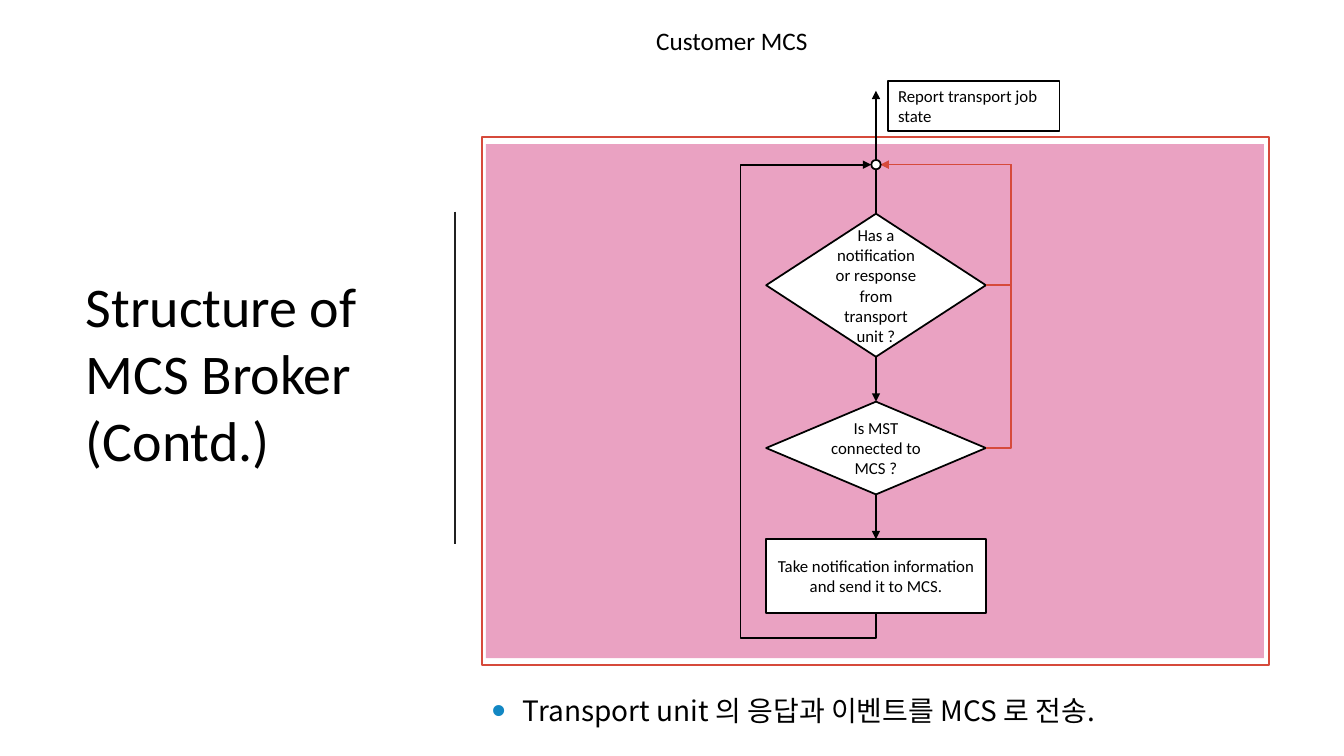
from dataclasses import dataclass

from lxml import etree
from pptx import Presentation
from pptx import util as u
from pptx.dml.color import RGBColor
from pptx.enum import shapes, text
from pptx.oxml import ns


@dataclass(frozen=True)
class Theme:
    ink: str = "000000"
    paper: str = "FFFFFF"
    divider: str = "212121"
    accent: str = "D64A3B"
    panel: str = "D64787"
    bullet: str = "1287C3"
    font: str = "Calibri"
    korean_font: str = "Noto Sans CJK KR"
    title: int = 40
    body: int = 20
    label: int = 18
    step: int = 12
    thin: float = 1.25
    rule: float = 1.5
    thick: float = 1.75


THEME = Theme()
WIDTH, HEIGHT = u.Inches(13.333), u.Inches(7.5)

# The grid has 100 columns and 100 rows.
AXIS = 65.18
STEP_WIDTH = 16.35
STEP_TOP = 28.27
STEP_GAP = 5.93
JUNCTION_ROW = 21.78
JUNCTION_WIDTH, JUNCTION_HEIGHT = 0.7, 1.24
NO_LANE, LOOP_LANE, LOOP_ROW = 75.22, 55.13, 84.4
CONTENT_LEFT = 35.85

DECISION = shapes.MSO_SHAPE.FLOWCHART_DECISION
PROCESS = shapes.MSO_SHAPE.FLOWCHART_PROCESS
STEPS = [
    (DECISION, 18.93, "Has a notification or response from transport unit ?"),
    (DECISION, 12.27, "Is MST connected to MCS ?"),
    (PROCESS, 9.73, "Take notification information and send it to MCS."),
]


def col(n):
    return u.Emu(round(WIDTH * n / 100))


def row(n):
    return u.Emu(round(HEIGHT * n / 100))


def area(left, top, width, height):
    return col(left), row(top), col(width), row(height)


def sub(parent, tag, **attrs):
    return etree.SubElement(parent, ns.qn(tag), attrs)


def write(sp, words, size, font=THEME.font, align=text.PP_ALIGN.LEFT,
          anchor=text.MSO_ANCHOR.TOP, wrap=True):
    tf = sp.text_frame
    tf.word_wrap = wrap
    tf.auto_size = text.MSO_AUTO_SIZE.NONE
    tf.vertical_anchor = anchor
    p = tf.paragraphs[0]
    p.text = words
    p.alignment = align
    for r in p.runs:
        r.font.size = u.Pt(size)
        r.font.name = font
        r.font.color.rgb = RGBColor.from_string(THEME.ink)
        sub(r.font._element, "a:ea", typeface=font)
    return p


def add_box(slide, kind, box, fill=THEME.paper, line=THEME.ink, alpha=None):
    sp = slide.shapes.add_shape(kind, *box)
    sp.shadow.inherit = False
    sp.fill.solid()
    sp.fill.fore_color.rgb = RGBColor.from_string(fill)
    if alpha:
        color = sp.fill._xPr.find(".//" + ns.qn("a:srgbClr"))
        sub(color, "a:alpha", val=str(alpha * 1000))
    if line:
        sp.line.color.rgb = RGBColor.from_string(line)
        sp.line.width = u.Pt(THEME.thin)
    else:
        sp.line.fill.background()
    return sp


def add_line(slide, start, end, color=THEME.ink, width=THEME.thin, arrow=True,
             kind=shapes.MSO_CONNECTOR.STRAIGHT):
    line = slide.shapes.add_connector(kind, *start, *end)
    line.line.color.rgb = RGBColor.from_string(color)
    line.line.width = u.Pt(width)
    if arrow:
        sub(line.line._get_or_add_ln(), "a:tailEnd", type="triangle")
    sub(line._element.spPr, "a:effectLst")
    return line


def set_bends(line, preset, *shares):
    """Place the bends of an elbow as shares of its length and breadth."""
    geometry = line._element.spPr.find(ns.qn("a:prstGeom"))
    geometry.set("prst", preset)
    for old in list(geometry):
        geometry.remove(old)
    guides = sub(geometry, "a:avLst")
    for i, share in enumerate(shares, 1):
        sub(guides, "a:gd", name=f"adj{i}", fmla=f"val {round(share * 100000)}")


def add_no_branch(slide, step):
    """Lead from the right corner of a decision back to the junction."""
    start = step.left + step.width, step.top + step.height // 2
    end = col(AXIS + JUNCTION_WIDTH / 2), row(JUNCTION_ROW)
    line = add_line(slide, start, end, THEME.accent,
                    kind=shapes.MSO_CONNECTOR.ELBOW)
    set_bends(line, "bentConnector3",
              (start[0] - col(NO_LANE)) / (start[0] - end[0]))


def add_loop(slide, step):
    """Lead from below the last step round the left side to the junction."""
    x, y = col(AXIS), step.top + step.height
    end_x, end_y = col(AXIS - JUNCTION_WIDTH / 2), row(JUNCTION_ROW)
    length, breadth = y - end_y, x - end_x
    left = (x + end_x - length) // 2
    top = (y + end_y - breadth) // 2
    line = add_line(slide, (left + length, top), (left, top + breadth),
                    kind=shapes.MSO_CONNECTOR.ELBOW)
    line._element.spPr.find(ns.qn("a:xfrm")).set("rot", str(90 * 60000))
    set_bends(line, "bentConnector4",
              (y - row(LOOP_ROW)) / length, (x - col(LOOP_LANE)) / breadth)


def add_bullet_text(slide, words, box):
    p = write(slide.shapes.add_textbox(*box), words, THEME.body,
              font=THEME.korean_font, anchor=text.MSO_ANCHOR.MIDDLE)
    p.space_after = u.Pt(6)
    pr = p._p.get_or_add_pPr()
    indent = u.Inches(0.31)
    pr.set("marL", str(indent))
    pr.set("indent", str(-indent))
    sub(sub(pr, "a:buClr"), "a:srgbClr", val=THEME.bullet)
    sub(pr, "a:buSzPct", val="145000")
    sub(pr, "a:buFont", typeface="Arial")
    sub(pr, "a:buChar", char="•")


def add_flow(slide):
    steps, top = [], STEP_TOP
    for kind, height, words in STEPS:
        box = area(AXIS - STEP_WIDTH / 2, top, STEP_WIDTH, height)
        sp = add_box(slide, kind, box)
        write(sp, words, THEME.step, align=text.PP_ALIGN.CENTER,
              anchor=text.MSO_ANCHOR.MIDDLE)
        steps.append(sp)
        top += height + STEP_GAP

    x = col(AXIS)
    report = add_line(slide, (x, steps[0].top), (x, row(12)))
    report.begin_connect(steps[0], 0)
    for upper, lower in zip(steps, steps[1:]):
        line = add_line(slide, (x, upper.top + upper.height), (x, lower.top),
                        width=THEME.thick)
        line.begin_connect(upper, 2)
        line.end_connect(lower, 0)
        add_no_branch(slide, upper)
    add_loop(slide, steps[-1])
    add_box(slide, shapes.MSO_SHAPE.FLOWCHART_CONNECTOR,
            area(AXIS - JUNCTION_WIDTH / 2, JUNCTION_ROW - JUNCTION_HEIGHT / 2,
                 JUNCTION_WIDTH, JUNCTION_HEIGHT))


def main():
    prs = Presentation()
    prs.slide_width, prs.slide_height = WIDTH, HEIGHT
    slide = prs.slides.add_slide(prs.slide_layouts[5])

    title = slide.shapes.title
    title.left, title.top, title.width, title.height = area(5.63, 11.2, 26.03, 76)
    write(title, "Structure of MCS Broker\v(Contd.)", THEME.title,
          anchor=text.MSO_ANCHOR.MIDDLE)
    add_line(slide, (col(33.83), row(28)), (col(33.83), row(72)),
             THEME.divider, THEME.rule, arrow=False)
    add_bullet_text(slide, "Transport unit 의 응답과 이벤트를 MCS 로 전송.",
                    area(CONTENT_LEFT, 88.8, 58.13, 10.27))

    rect = shapes.MSO_SHAPE.RECTANGLE
    add_box(slide, rect, area(CONTENT_LEFT, 18.13, 58.58, 69.87),
            line=THEME.accent)
    add_box(slide, rect, area(36.15, 19.07, 57.9, 68), THEME.panel,
            line=None, alpha=50)
    customer = slide.shapes.add_textbox(*area(48.08, 2.67, 13.28, 5.33))
    write(customer, "Customer MCS", THEME.label, wrap=False)
    report = add_box(slide, rect, area(66.08, 10.67, 12.75, 6.67))
    write(report, "Report transport job state", THEME.step)
    add_flow(slide)
    prs.save("out.pptx")


if __name__ == "__main__":
    main()
